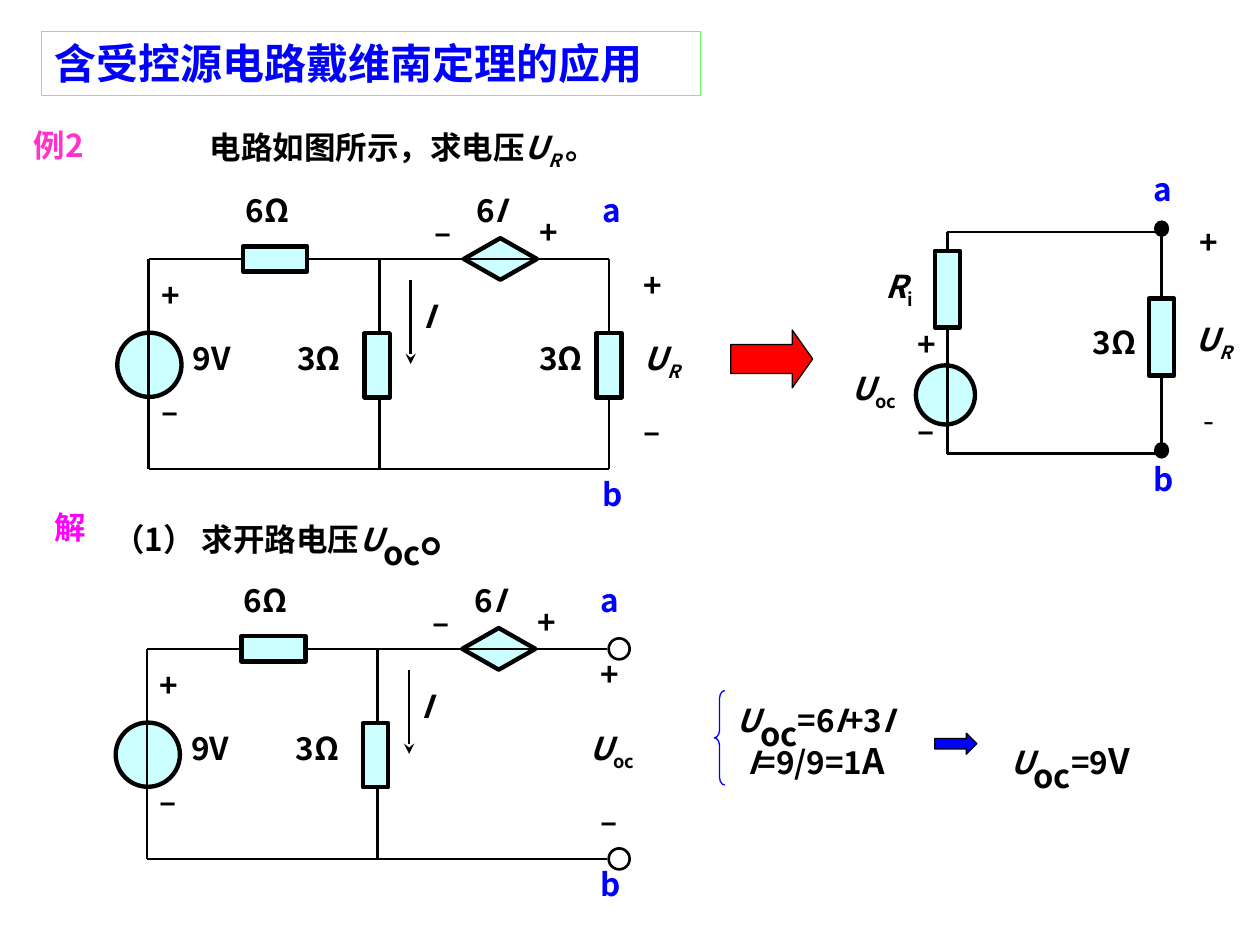
"""Build the Thevenin example slide with three circuit diagrams."""
from lxml.etree import SubElement
from pptx import Presentation
from pptx.dml.color import RGBColor
from pptx.enum.shapes import MSO_CONNECTOR, MSO_SHAPE
from pptx.enum.text import MSO_ANCHOR, MSO_AUTO_SIZE, PP_ALIGN
from pptx.oxml.ns import qn
from pptx.util import Pt

FONT = "Noto Sans CJK SC"
COLORS = {"black": "000000", "blue": "0000FF", "pink": "FF33CC", "magenta": "FF00FF",
          "green": "66FF66", "red": "FF0000", "part": "CCFFFF"}
STYLES = {"n": {}, "i": {"italic": True}, "light": {"bold": False},
          "title": {"size": Pt(24)}, "unit": {"size": Pt(20)}, "large": {"size": Pt(32)},
          "sub": {"base": -25}, "isub": {"italic": True, "base": -25},
          "bigsub": {"size": Pt(32), "base": -25}}
PRESETS = {"rect": MSO_SHAPE.RECTANGLE, "ellipse": MSO_SHAPE.OVAL,
           "diamond": MSO_SHAPE.DIAMOND, "arrow": MSO_SHAPE.RIGHT_ARROW,
           "brace": MSO_SHAPE.LEFT_BRACE}
JOINABLE = ("rect", "diamond")

U_R = [("U", "i"), ("R", "isub")]
U_OC = [("U", "i"), ("oc", "sub")]
U_OC_BIG = [("U", "i"), ("oc", "bigsub")]

TITLE = ("含受控源电路戴维南定理的应用", 23.8, 18, 376.6, 36.6)
TEXTS = [
    ("text", 75.6, 69.8, 309.6, 36,
     [("电路如图所示，求电压", "n"), ("U", "i"), ("R ", "isub"), ("。", "n")],
     {"align": PP_ALIGN.CENTER}),
    ("text", 12.2, 68.4, 67.7, 36, "例2", {"color": "pink"}),
    ("text", 23.8, 286.6, 84, 36, "解", {"color": "magenta"}),
    ("text", 57.6, 279.4, 291.6, 45.4,
     [("（1） 求开路电压", "n"), *U_OC_BIG, ("。", "large")]),
    ("text", 414, 383, 131.8, 36,
     [*U_OC_BIG, ("=6", "n"), ("I", "i"), ("+3", "n"), ("I", "i")]),
    ("text", 419.8, 419, 126, 36, [("I", "i"), ("=9/9=1", "n"), ("A", "unit")]),
    ("text", 570.2, 406.8, 95.8, 36, [*U_OC_BIG, ("=9", "n"), ("V", "unit")]),
    ("arrow", 417.6, 188.6, 46.8, 33.1, {"fill": "red", "width": 0.75, "adj": (0.5, 0.354)}),
    ("brace", 408.2, 394.6, 6, 54,
     {"fill": None, "line": "blue", "width": 0.75, "adj": (0.75, 0.5)}),
    ("arrow", 534.2, 419, 24, 12, {"fill": "blue", "width": 0.75}),
]

SOURCE_CIRCUIT = [
    ("line", 216.7, 148, 216.7, 268),
    ("rect", 138.9, 140.8, 36.7, 14.4),
    ("rect", 208.4, 190.4, 14.4, 36.7),
    ("diamond", 265, 136.1, 41.8, 23.8),
    ("ellipse", 67, 190.1, 36.7, 36.7),
    ("line", 265, 148, 306.8, 148),
    ("line", 85, 148, 138.9, 148),
    ("line", 175.6, 148, 348, 148),
    ("line", 85, 268, 348, 268),
    ("line", 85, 268, 85, 148),
    ("line", 234.7, 159.8, 234.7, 208, {"tail": "stealth"}),
    ("text", 162.7, 190.1, 54, 36, "3Ω"),
    ("text", 133.2, 105.8, 48, 36, "6Ω"),
    ("text", 234.7, 166.3, 36, 36, [("I", "i")]),
    ("text", 85, 154.1, 24, 36, "+"),
    ("text", 85, 220.3, 30, 36, "–"),
    ("text", 103, 190.1, 48, 36, "9V"),
    ("text", 301, 118.1, 30, 36, "+"),
    ("text", 241.2, 118.1, 36, 36, "–"),
    ("text", 265, 105.8, 54, 36, [("6", "n"), ("I", "i")]),
    ("text", 337, 105.8, 36, 36, "a", {"color": "blue"}),
    ("text", 337, 267.8, 24, 36, "b", {"color": "blue"}),
]
LOAD = [
    ("rect", 340.8, 190.4, 14.4, 36.7),
    ("line", 348, 148, 348, 190.4),
    ("line", 348, 227.1, 348, 268),
    ("text", 301, 190.1, 48, 36, "3Ω"),
    ("text", 360.7, 148.3, 24, 36, "+"),
    ("text", 360.7, 231.8, 30, 36, "–"),
    ("text", 360.7, 190.1, 48, 36, U_R),
]
OPEN_TERMINALS = [
    ("ellipse", 348.7, 142, 12, 12, {"fill": None, "width": 1.5}),
    ("ellipse", 348.7, 262, 12, 12, {"fill": None, "width": 1.5}),
    ("text", 337, 148, 24, 36, "+"),
    ("text", 337, 232.2, 30, 36, "–"),
    ("text", 330.7, 190.1, 48, 36, U_OC),
]
MIDDLE = {"align": PP_ALIGN.CENTER, "anchor": MSO_ANCHOR.MIDDLE}
DOT = {"fill": "black", "width": 1.5}
EQUIVALENT = [
    ("line", 541.4, 132.5, 541.4, 259.2),
    ("line", 541.4, 132.5, 663.8, 132.5),
    ("line", 541.4, 259.2, 663.8, 259.2),
    ("line", 663.8, 132.5, 663.8, 257),
    ("rect", 656.6, 170.6, 14.4, 43.9),
    ("rect", 534.2, 143.3, 14.4, 43.9),
    ("ellipse", 523.4, 208.8, 33.8, 33.8),
    ("line", 541.4, 209.5, 541.4, 242.6),
    ("ellipse", 660.2, 126.7, 7.2, 7.9, DOT),
    ("ellipse", 660.2, 253.4, 7.2, 7.9, DOT),
    ("text", 652.3, 93.6, 37.4, 36, "a", {"color": "blue"}),
    ("text", 652.3, 259.2, 37.4, 36, "b", {"color": "blue"}),
    ("text", 479.5, 207.4, 57, 36, U_OC),
    ("text", 517, 182.2, 30, 36, "+"),
    ("text", 517, 231.1, 37.4, 36, "–"),
    ("text", 499, 149, 52.6, 36, [("R", "i"), ("i", "sub")]),
    ("text", 612, 177.3, 49.7, 36, "3Ω", MIDDLE),
    ("text", 667.4, 177.3, 52.6, 36, U_R, MIDDLE),
    ("text", 677.5, 221.9, 26.6, 36, [("-", "light")], MIDDLE),
    ("text", 676.8, 120.4, 28, 36, "+", MIDDLE),
]
GROUPS = [(SOURCE_CIRCUIT + LOAD, 0, 0), (EQUIVALENT, 0, 0),
          (SOURCE_CIRCUIT + OPEN_TERMINALS, -0.9, 222.8)]


def rgb(name):
    return RGBColor.from_string(COLORS[name])


def write(tf, runs, color="black", align=PP_ALIGN.LEFT, anchor=MSO_ANCHOR.TOP):
    for key, value in {"word_wrap": True, "auto_size": MSO_AUTO_SIZE.NONE,
                       "vertical_anchor": anchor}.items():
        setattr(tf, key, value)
    p = tf.paragraphs[0]
    p.alignment = align
    for text, style in [(runs, "n")] if isinstance(runs, str) else runs:
        r = p.add_run()
        r.text = text
        fmt = {"name": FONT, "size": Pt(18), "bold": True, **STYLES[style]}
        base = fmt.pop("base", 0)
        for key, value in fmt.items():
            setattr(r.font, key, value)
        r.font.color.rgb = rgb(color)
        rPr = r._r.get_or_add_rPr()
        SubElement(rPr, qn("a:ea")).set("typeface", FONT)
        if base:
            rPr.set("baseline", str(base * 1000))


def add_wire(shapes, joints, x1, y1, x2, y2, tail=None):
    ends = [(Pt(x1), Pt(y1)), (Pt(x2), Pt(y2))]
    c = shapes.add_connector(MSO_CONNECTOR.STRAIGHT, *ends[0], *ends[1])
    c.line.color.rgb = rgb("black")
    c.line.width = Pt(1.5)
    if tail:
        SubElement(c.line._get_or_add_ln(), qn("a:tailEnd")).set("type", tail)
    SubElement(c._element.spPr, qn("a:effectLst"))
    for (x, y), connect in zip(ends, (c.begin_connect, c.end_connect)):
        for sp in joints:
            cx, cy = sp.left + sp.width // 2, sp.top + sp.height // 2
            sides = [(cx, sp.top), (sp.left, cy), (cx, sp.top + sp.height),
                     (sp.left + sp.width, cy)]
            for site, (sx, sy) in enumerate(sides):
                if max(abs(sx - x), abs(sy - y)) < Pt(0.2):
                    connect(sp, site)


def add_part(shapes, kind, box, fill="part", line="black", width=2.5, adj=()):
    sp = shapes.add_shape(PRESETS[kind], *map(Pt, box))
    sp.shadow.inherit = False
    if fill:
        sp.fill.solid()
        sp.fill.fore_color.rgb = rgb(fill)
    else:
        sp.fill.background()
    sp.line.color.rgb = rgb(line)
    sp.line.width = Pt(width)
    for i, value in enumerate(adj):
        sp.adjustments[i] = value
    return sp


def draw(shapes, items, dx=0, dy=0):
    joints = []
    for kind, x, y, a, b, *rest in items:
        x, y = x + dx, y + dy
        opts = rest.pop() if rest and isinstance(rest[-1], dict) else {}
        if kind == "line":
            add_wire(shapes, joints, x, y, a + dx, b + dy, **opts)
        elif kind == "text":
            write(shapes.add_textbox(Pt(x), Pt(y), Pt(a), Pt(b)).text_frame, rest[0], **opts)
        else:
            sp = add_part(shapes, kind, (x, y, a, b), **opts)
            if kind in JOINABLE:
                joints.append(sp)


def main():
    prs = Presentation()
    prs.slide_width, prs.slide_height = Pt(720), Pt(540)
    s = prs.slides.add_slide(prs.slide_layouts[5])
    title = s.shapes.title
    text, *box = TITLE
    for key, value in zip(("left", "top", "width", "height"), box):
        setattr(title, key, Pt(value))
    title.line.color.rgb = rgb("green")
    title.line.width = Pt(0.75)
    write(title.text_frame, [(text, "title")], color="blue")
    draw(s.shapes, TEXTS)
    for items, dx, dy in GROUPS:
        draw(s.shapes.add_group_shape().shapes, items, dx, dy)
    prs.save("out.pptx")


if __name__ == "__main__":
    main()
